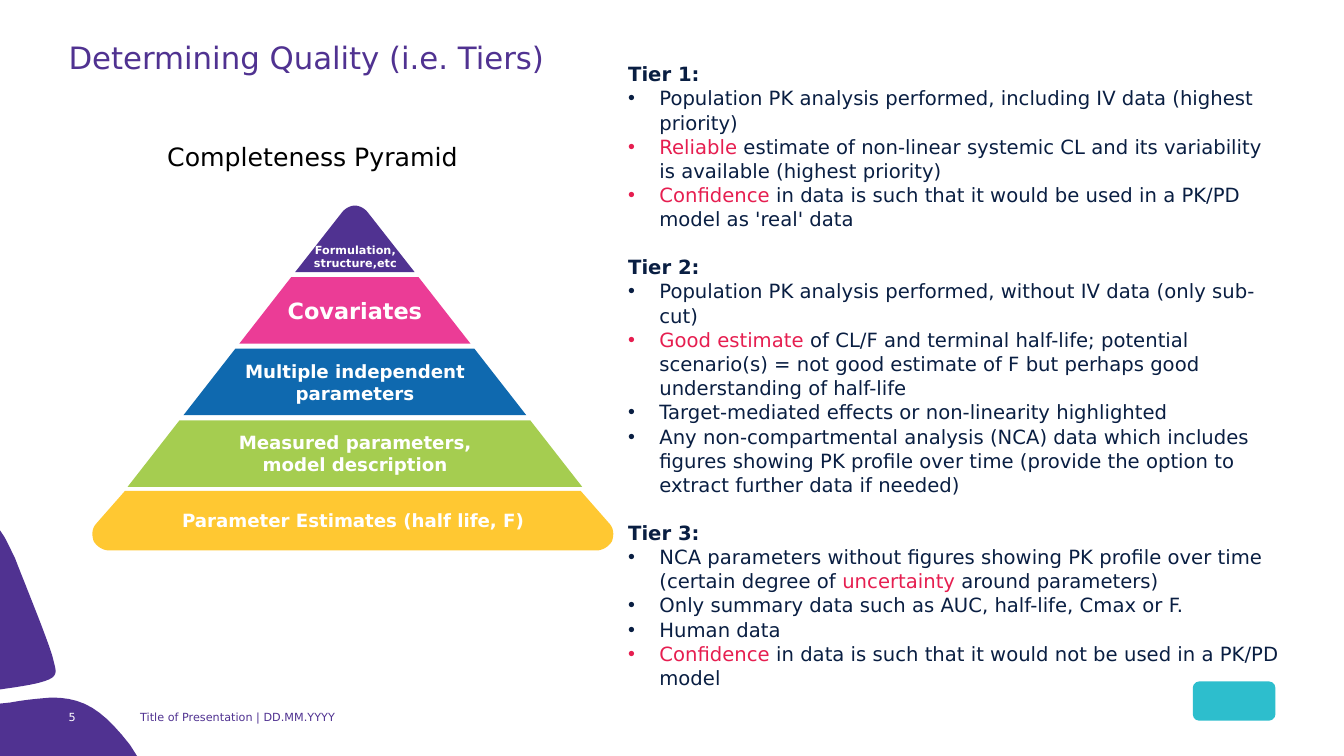
import pptx
import pptx.util
import pptx.dml.color
import pptx.enum.text
import pptx.enum.shapes
import pptx.oxml.ns
import lxml.etree
from dataclasses import dataclass

Inches = pptx.util.Inches
Pt = pptx.util.Pt
Align = pptx.enum.text.PP_ALIGN
Anchor = pptx.enum.text.MSO_ANCHOR


# Content: an asterisk pair marks highlighted words
TITLE = "Determining Quality (i.e. Tiers)"
PYRAMID_TITLE = "Completeness Pyramid"
PAGE_NUMBER = "5"
FOOTER = "Title of Presentation | DD.MM.YYYY"
TIERS = {
    "Tier 1:": [
        "Population PK analysis performed, including IV data (highest priority)",
        "*Reliable* estimate of non-linear systemic CL and its variability is available (highest priority)",
        "*Confidence* in data is such that it would be used in a PK/PD model as 'real' data",
    ],
    "Tier 2:": [
        "Population PK analysis performed, without IV data (only sub-cut)",
        "*Good estimate *of CL/F and terminal half-life; potential scenario(s) = not good estimate of F "
        "but perhaps good understanding of half-life",
        "Target-mediated effects or non-linearity highlighted",
        "Any non-compartmental analysis (NCA) data which includes figures showing PK profile over time "
        "(provide the option to extract further data if needed)",
    ],
    "Tier 3:": [
        "NCA parameters without figures showing PK profile over time (certain degree of *uncertainty* "
        "around parameters)",
        "Only summary data such as AUC, half-life, Cmax or F.",
        "Human data",
        "*Confidence* in data is such that it would not be used in a PK/PD model",
    ],
}
CAP_LABEL = ["Formulation,", "structure,etc"]
# Middle bands: lines, type size, colour
BANDS = [
    (["Covariates"], 16, "EB3C96"),
    (["Multiple independent parameters"], 13, "0F69AF"),
    (["Measured parameters,", "model description"], 13, "A5CD50"),
]
BASE_LABEL = ["Parameter Estimates (half life, F)"]


@dataclass(frozen=True)
class Theme:
    font: str = "DejaVu Sans"
    purple: str = "503291"
    teal: str = "2DBECD"
    yellow: str = "FFC832"
    white: str = "FFFFFF"
    black: str = "000000"
    ink: str = "091E42"
    highlight: str = "E61E50"
    title_size: float = 22
    pyramid_title_size: float = 18
    body_size: float = 14
    label_size: float = 13
    small_size: float = 8
    tier_gap: float = 16.8


THEME = Theme()

# Pyramid geometry in inches
CENTER, BASE_CENTER = 3.52, 3.5
APEX, SLOPE = 1.94, 0.78
BAND_TOP, BAND_HEIGHT, BAND_PITCH = 2.75, 0.66, 0.71
CAP_BOTTOM, BASE_TOP = 2.7, 4.87

# Corner outlines: straight points are pairs, curves are three pairs
LOWER_CORNER = [
    (0, 6.98), (0.1, 6.97), ((0.26, 6.94), (0.39, 6.93), (0.51, 6.92)),
    ((0.82, 6.92), (1.01, 7.03), (1.29, 7.39)), (1.36, 7.5), (0, 7.5),
]
UPPER_CORNER = [
    (0, 5.26), (0.04, 5.32), ((0.08, 5.39), (0.11, 5.46), (0.15, 5.54)),
    ((0.23, 5.75), (0.51, 6.43), (0.53, 6.55)), ((0.56, 6.67), (0.59, 6.72), (0.4, 6.77)),
    ((0.33, 6.79), (0.21, 6.81), (0.07, 6.83)), (0, 6.84),
]


def color(value):
    return pptx.dml.color.RGBColor.from_string(value)


def flatten(outline, steps=10):
    """Turn straight points and cubic curves into one list of points."""
    points = []
    for part in outline:
        if not isinstance(part[0], tuple):
            points.append(part)
            continue
        a, (b, c, d) = points[-1], part
        for step in range(1, steps + 1):
            t = step / steps
            u = 1 - t
            points.append(tuple(
                u**3 * a[i] + 3 * u * u * t * b[i] + 3 * u * t * t * c[i] + t**3 * d[i] for i in (0, 1)
            ))
    return points


def half_width(y):
    return SLOPE * (y - APEX)


def mirrored(center, profile):
    """Close a right-hand profile of half-widths with its mirror."""
    half = flatten(profile)
    return [(center + x, y) for x, y in half] + [(center - x, y) for x, y in reversed(half)]


def paint(shape, fill):
    shape.fill.solid()
    shape.fill.fore_color.rgb = color(fill)
    shape.line.fill.background()
    shape.shadow.inherit = False


def add_outline(slide, points, fill):
    corners = [(Inches(x), Inches(y)) for x, y in points]
    builder = slide.shapes.build_freeform(*corners[0])
    builder.add_line_segments(corners[1:], close=True)
    shape = builder.convert_to_shape()
    paint(shape, fill)
    return shape


def add_run(paragraph, text, size, fill, bold=False):
    run = paragraph.add_run()
    run.text = text
    run.font.name = THEME.font
    run.font.size = Pt(size)
    run.font.bold = bold
    run.font.color.rgb = color(fill)


def write(shape, lines, size, fill, bold=False, align=Align.LEFT, anchor=Anchor.TOP, margins=None, wrap=True):
    frame = shape.text_frame
    frame.word_wrap = wrap
    frame.auto_size = pptx.enum.text.MSO_AUTO_SIZE.NONE
    frame.vertical_anchor = anchor
    if margins:
        frame.margin_left, frame.margin_top, frame.margin_right, frame.margin_bottom = map(Inches, margins)
    for index, line in enumerate(lines):
        paragraph = frame.add_paragraph() if index else frame.paragraphs[0]
        paragraph.alignment = align
        add_run(paragraph, line, size, fill, bold)


def place(shape, *box):
    shape.left, shape.top, shape.width, shape.height = map(Inches, box)


def add_text(slide, box, *args, **options):
    write(slide.shapes.add_textbox(*map(Inches, box)), *args, **options)


def set_bullet(paragraph, bulleted):
    properties = paragraph._p.get_or_add_pPr()
    indent = Inches(0.31) if bulleted else 0
    properties.set("marL", str(indent))
    properties.set("indent", str(-indent))
    tag = "a:buChar" if bulleted else "a:buNone"
    bullet = lxml.etree.SubElement(properties, pptx.oxml.ns.qn(tag))
    if bulleted:
        bullet.set("char", "•")


def add_tiers(shape):
    frame = shape.text_frame
    frame.word_wrap = True
    frame.auto_size = pptx.enum.text.MSO_AUTO_SIZE.NONE
    entries = [(text, text == tier) for tier, points in TIERS.items() for text in [tier, *points]]
    for index, (text, heading) in enumerate(entries):
        paragraph = frame.add_paragraph() if index else frame.paragraphs[0]
        paragraph.alignment = Align.LEFT
        paragraph.line_spacing = 1.03
        paragraph.space_before = Pt(THEME.tier_gap if heading and index else 0)
        set_bullet(paragraph, not heading)
        for part, words in enumerate(text.split("*")):
            if words:
                add_run(paragraph, words, THEME.body_size, THEME.highlight if part % 2 else THEME.ink, heading)


def add_pyramid(slide):
    label = dict(bold=True, align=Align.CENTER, anchor=Anchor.MIDDLE)
    # Rounded cap
    cap = [(0, 2.04), ((0.05, 2.04), (0.1, 2.07), (0.13, 2.11)), (half_width(CAP_BOTTOM), CAP_BOTTOM)]
    add_outline(slide, mirrored(CENTER, cap), THEME.purple)
    add_text(slide, (2.93, 2.41, 1.19, 0.27), CAP_LABEL, THEME.small_size, THEME.white,
             bold=True, align=Align.CENTER, margins=(0, 0, 0, 0))
    # Middle bands
    for index, (lines, size, fill) in enumerate(BANDS):
        top = BAND_TOP + index * BAND_PITCH
        profile = [(half_width(y), y) for y in (top, top + BAND_HEIGHT)]
        write(add_outline(slide, mirrored(CENTER, profile), fill), lines, size, THEME.white, **label)
    # Rounded base
    base = [(2.26, BASE_TOP), (2.55, 5.2), ((2.59, 5.25), (2.59, 5.31), (2.57, 5.37)),
            ((2.54, 5.42), (2.48, 5.46), (2.42, 5.46))]
    shape = add_outline(slide, mirrored(BASE_CENTER, base), THEME.yellow)
    write(shape, BASE_LABEL, THEME.label_size, THEME.white, **label)


def main():
    presentation = pptx.Presentation()
    presentation.slide_width, presentation.slide_height = Inches(13.33), Inches(7.5)
    slide = presentation.slides.add_slide(presentation.slide_layouts[1])

    # Corner decoration and brand mark
    for outline in (LOWER_CORNER, UPPER_CORNER):
        add_outline(slide, flatten(outline), THEME.purple)
    rounded = pptx.enum.shapes.MSO_SHAPE.ROUNDED_RECTANGLE
    paint(slide.shapes.add_shape(rounded, *map(Inches, (11.83, 6.76, 0.82, 0.39))), THEME.teal)

    # Title and tier list
    title, body = slide.placeholders
    place(title, 0.68, 0.36, 11.97, 0.44)
    write(title, [TITLE], THEME.title_size, THEME.purple, margins=(0, 0.02, 0, 0))
    place(body, 6.13, 0.56, 6.67, 6.23)
    add_tiers(body)

    # Pyramid
    add_text(slide, (1.56, 1.35, 3.1, 0.4), [PYRAMID_TITLE], THEME.pyramid_title_size, THEME.black, wrap=False)
    add_pyramid(slide)

    # Footer
    for left, width, text, fill in ((0.68, 0.71, PAGE_NUMBER, THEME.white), (1.39, 9.54, FOOTER, THEME.purple)):
        add_text(slide, (left, 6.98, width, 0.24), [text], THEME.small_size, fill,
                 anchor=Anchor.BOTTOM, margins=(0, 0, 0, 0.04))

    presentation.save("out.pptx")


if __name__ == "__main__":
    main()
